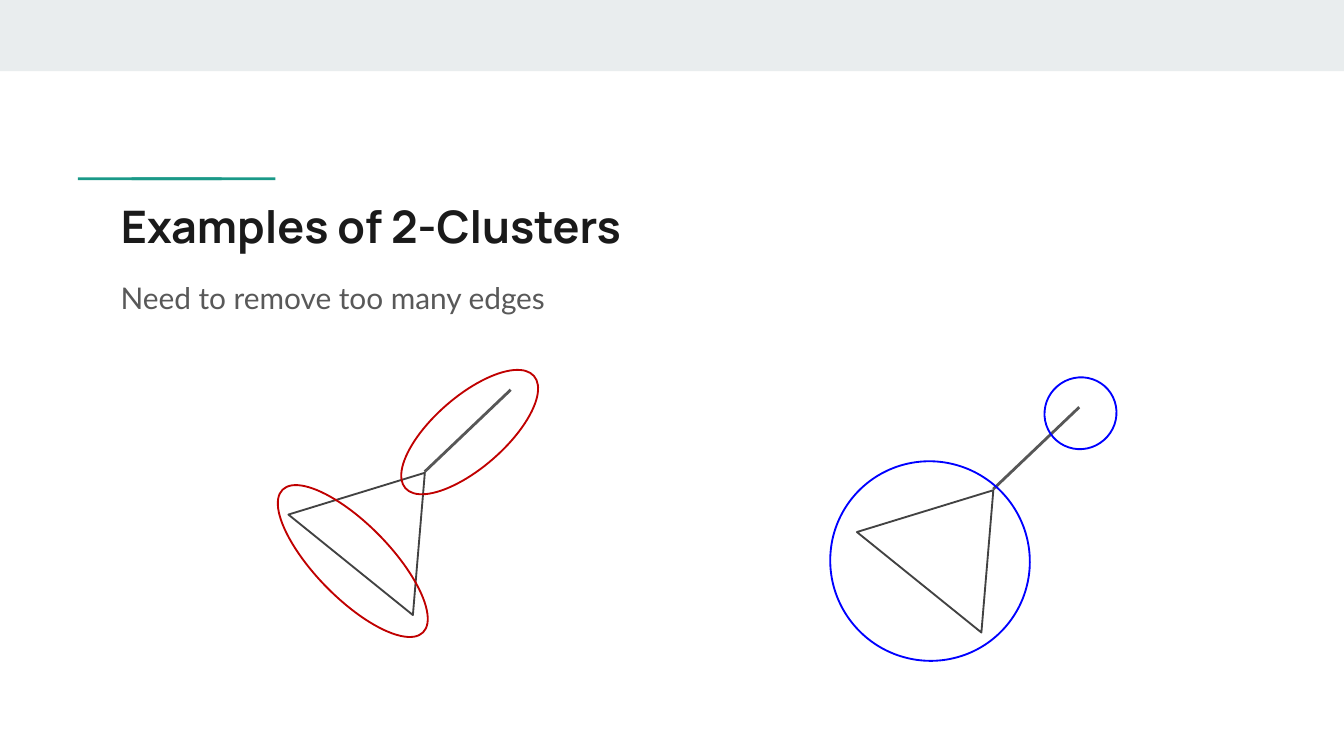
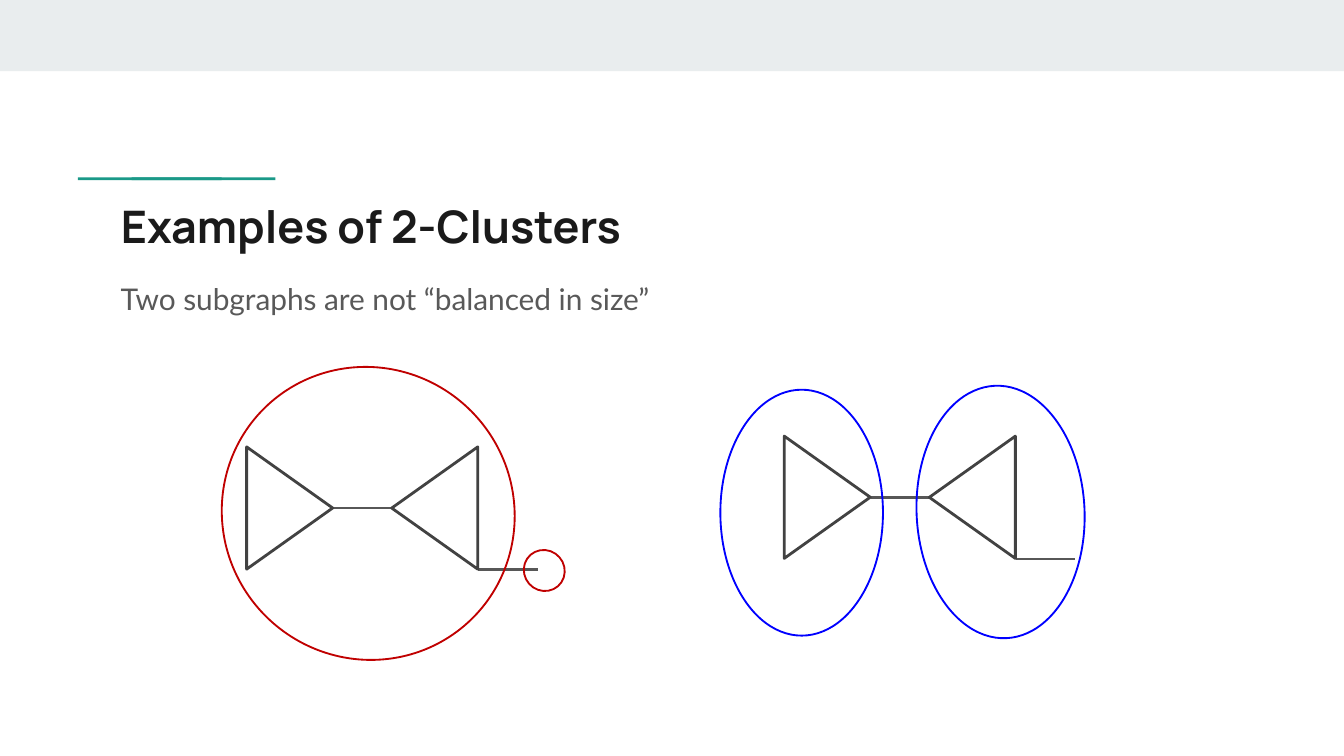
from dataclasses import dataclass
from lxml.etree import SubElement
from pptx import Presentation
from pptx.dml.color import RGBColor
from pptx.enum.shapes import MSO_CONNECTOR as Link, MSO_SHAPE as Kind
from pptx.enum.text import MSO_ANCHOR as Anchor, MSO_AUTO_SIZE as Fit, PP_ALIGN as Align
from pptx.oxml.ns import qn
from pptx.util import Inches, Pt


@dataclass(frozen=True)
class Theme:
    band: str = "E9EDEE"
    teal: str = "1A9988"
    ink: str = "1A1A1A"
    gray: str = "595959"
    edge: str = "575757"
    side: str = "424242"
    red: str = "C00000"
    blue: str = "0000FF"
    head: str = "Manrope"
    body: str = "Lato"
    big: int = 24
    mid: int = 16
    thin: float = 1
    bold: float = 1.5


T = Theme()
WIDE = 10
HIGH = WIDE * 9 / 16
TITLE = "Examples of 2-Clusters"

KITE = {
    "pen": T.thin,
    "edges": [(3.16, 3.51, 3.8, 2.9)],
    "sides": [(2.29, 3.42, 1.19, 0.88, 38.9)],
}
BOW = {
    "pen": T.bold,
    "edges": [(2.48, 3.78, 2.92, 3.78), (3.56, 4.24, 4, 4.24)],
    "sides": [(1.7, 3.46, 0.91, 0.64, 90), (2.78, 3.46, 0.91, 0.64, 270)],
}

PAGES = [
    {
        "note": "Need to remove too many edges",
        "box": (0.8, 1.98, 5, 0.47),
        "graph": KITE,
        "shifts": [(0, 0), (4.23, 0.13)],
        "rings": [
            (T.red, [(2.35, 3.43, 0.55, 1.49, 315.5), (2.86, 2.95, 1.27, 0.53, 318.9)]),
            (T.blue, [(6.18, 3.43, 1.48, 1.49, 315.5), (7.77, 2.81, 0.54, 0.53, 318.9)]),
        ],
    },
    {
        "note": "Two subgraphs are not “balanced in size”",
        "box": (0.8, 1.99, 5.92, 0.47),
        "graph": BOW,
        "shifts": [(0, 0), (4, -0.08)],
        "rings": [
            (T.red, [(1.66, 2.72, 2.16, 2.2, 315.5), (3.9, 4.09, 0.3, 0.31, 318.9)]),
            (T.blue, [(5.36, 2.9, 1.21, 1.83, 0), (6.82, 2.87, 1.25, 1.88, 357.4)]),
        ],
    },
]


def rgb(code):
    return RGBColor.from_string(code)


def inch(*sizes):
    return [Inches(size) for size in sizes]


def shape(home, kind, area, turn=0, fill=None, line=None, pen=T.thin):
    item = home.add_shape(kind, *inch(*area))
    item.rotation = turn
    item.shadow.inherit = False
    if fill:
        item.fill.solid()
        item.fill.fore_color.rgb = rgb(fill)
    else:
        item.fill.background()
    if line:
        item.line.color.rgb = rgb(line)
        item.line.width = Pt(pen)
    else:
        item.line.fill.background()
    return item


def edge(home, ends):
    item = home.add_connector(Link.STRAIGHT, *inch(*ends))
    item.line.color.rgb = rgb(T.edge)
    item.line.width = Pt(T.bold)
    SubElement(item.element.spPr, qn("a:effectLst"))


def write(item, area, text, face, size, color, bold=False, wrap=True):
    item.left, item.top, item.width, item.height = inch(*area)
    frame = item.text_frame
    frame.text = text
    frame.word_wrap = wrap
    frame.auto_size = Fit.SHAPE_TO_FIT_TEXT
    frame.vertical_anchor = Anchor.TOP
    frame.margin_left = frame.margin_right = Inches(0.1)
    frame.margin_top = frame.margin_bottom = Inches(0.1)
    line = frame.paragraphs[0]
    line.alignment = Align.LEFT
    line.line_spacing = 1.0
    line.space_before = Pt(0)
    font = line.font
    font.name, font.size, font.bold = face, Pt(size), bold
    font.color.rgb = rgb(color)


def accent(slide):
    bars = slide.shapes.add_group_shape().shapes
    for left in (0.98, 0.58):
        shape(bars, Kind.RECTANGLE, (left, 1.32, 1.07, 0.02), fill=T.teal)


def graph(slide, plan, shift):
    home = slide.shapes.add_group_shape().shapes
    dx, dy = shift
    for x1, y1, x2, y2 in plan["edges"]:
        edge(home, (x1 + dx, y1 + dy, x2 + dx, y2 + dy))
    for x, y, w, h, turn in plan["sides"]:
        shape(home, Kind.ISOSCELES_TRIANGLE, (x + dx, y + dy, w, h), turn,
              line=T.side, pen=plan["pen"])


def rings(slide, color, ovals):
    home = slide.shapes.add_group_shape().shapes
    for *area, turn in ovals:
        shape(home, Kind.OVAL, area, turn, line=color)


def build(deck, layout, page):
    slide = deck.slides.add_slide(layout)
    accent(slide)
    write(slide.shapes.title, (0.8, 1.38, 3.94, 0.61), TITLE,
          T.head, T.big, T.ink, bold=True, wrap=False)
    note = slide.shapes.add_textbox(*inch(*page["box"]))
    write(note, page["box"], page["note"], T.body, T.mid, T.gray)
    for shift in page["shifts"]:
        graph(slide, page["graph"], shift)
    for color, ovals in page["rings"]:
        rings(slide, color, ovals)
    return slide


def main():
    deck = Presentation()
    deck.slide_width, deck.slide_height = inch(WIDE, HIGH)
    layout = deck.slide_layouts[5]
    slides = [build(deck, layout, page) for page in PAGES]
    band = shape(slides[0].shapes, Kind.RECTANGLE, (0, 0, WIDE, 0.53), fill=T.band)
    layout.shapes.element.insert(2, band.element)
    deck.save("out.pptx")


if __name__ == "__main__":
    main()
